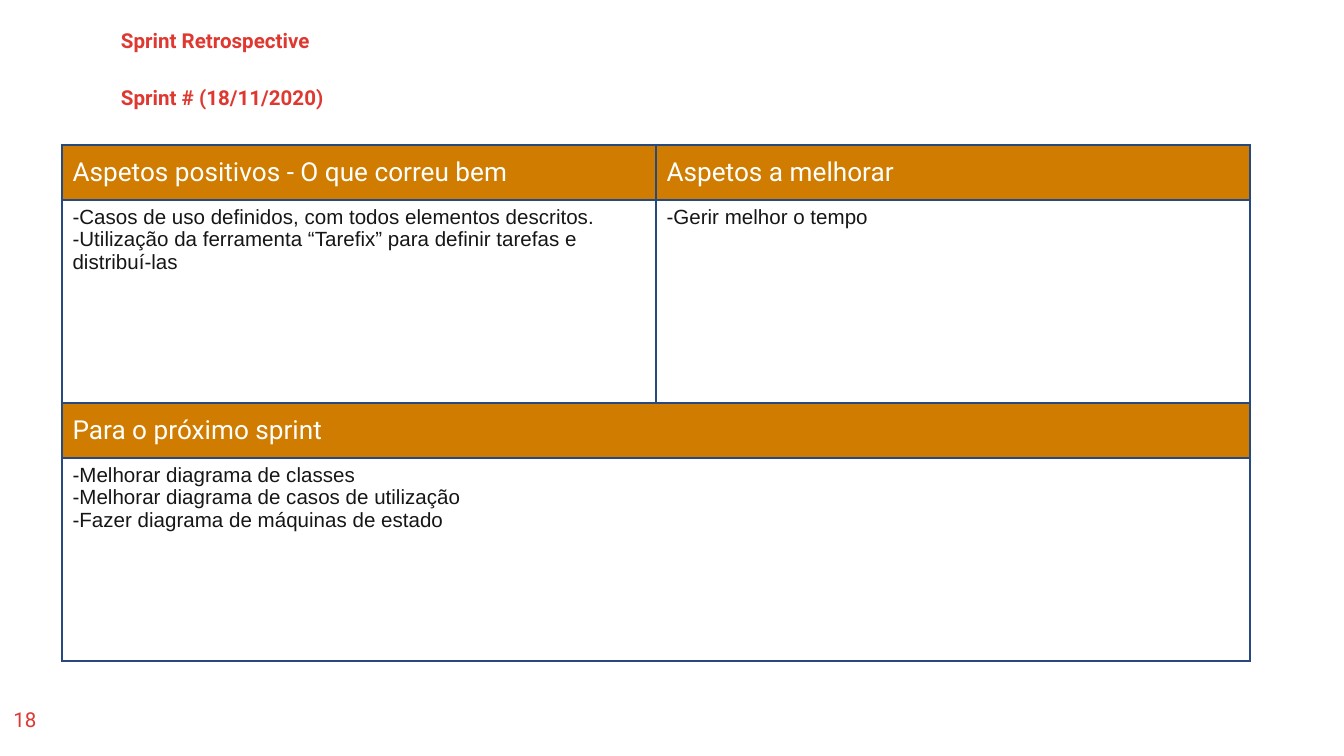
from lxml import etree
from pptx import Presentation
from pptx.dml.color import RGBColor
from pptx.enum.text import MSO_ANCHOR, PP_ALIGN
from pptx.oxml.ns import qn
from pptx.util import Inches, Pt

TOP, MIDDLE = MSO_ANCHOR.TOP, MSO_ANCHOR.MIDDLE
LEFT, CENTER = PP_ALIGN.LEFT, PP_ALIGN.CENTER
RED, ORANGE, WHITE, INK, BLUE = "DE3831", "D07C00", "FFFFFF", "171616", "264A80"


def rgb(value):
    return RGBColor.from_string(value)


def write(tf, text, size=11, font="Roboto", color=RED, bold=False, align=LEFT, spacing=1.0):
    for i, line in enumerate(text.split("\n")):
        p = tf.add_paragraph() if i else tf.paragraphs[0]
        p.alignment = align
        p.line_spacing = spacing
        r = p.add_run()
        r.text = line
        r.font.size = Pt(size)
        r.font.name = font
        r.font.bold = bold
        r.font.color.rgb = rgb(color)


def set_margins(item, side, end):
    item.margin_left = item.margin_right = Inches(side)
    item.margin_top = item.margin_bottom = Inches(end)


class Deck:
    header = dict(size=14, color=WHITE)
    body = dict(font="Arial", color=INK)

    def __init__(self, width):
        self.prs = Presentation()
        self.prs.slide_width = Inches(width)
        self.prs.slide_height = Inches(width * 9 / 16)
        self.s = self.prs.slides.add_slide(self.prs.slide_layouts[6])

    def text(self, x, y, w, h, text, **style):
        sp = self.s.shapes.add_textbox(Inches(x), Inches(y), Inches(w), Inches(h))
        tf = sp.text_frame
        tf.word_wrap = True
        set_margins(tf, 0.07, 0.04)
        write(tf, text, **style)

    def border(self, cell):
        tc_pr = cell._tc.get_or_add_tcPr()
        for i, side in enumerate(("lnL", "lnR", "lnT", "lnB")):
            ln = etree.Element(qn(f"a:{side}"), w=str(Pt(1)))
            fill = etree.SubElement(ln, qn("a:solidFill"))
            etree.SubElement(fill, qn("a:srgbClr"), val=BLUE)
            tc_pr.insert(i, ln)

    def table(self, x, y, widths, heights, rows):
        frame = self.s.shapes.add_table(
            len(heights), len(widths), Inches(x), Inches(y),
            Inches(sum(widths)), Inches(sum(heights)))
        table = frame.table
        for column, width in zip(table.columns, widths):
            column.width = Inches(width)
        for i, (height, texts) in enumerate(zip(heights, rows)):
            table.rows[i].height = Inches(height)
            is_header = i % 2 == 0
            if len(texts) < len(widths):
                table.cell(i, 0).merge(table.cell(i, len(widths) - 1))
            for j in range(len(widths)):
                cell = table.cell(i, j)
                cell.fill.solid()
                cell.fill.fore_color.rgb = rgb(ORANGE if is_header else WHITE)
                cell.vertical_anchor = MIDDLE if is_header else TOP
                set_margins(cell, 0.08, 0.04)
                self.border(cell)
                if j < len(texts):
                    write(cell.text_frame, texts[j], **(self.header if is_header else self.body))


def main():
    deck = Deck(10)
    deck.text(0.83, 0.19, 7.81, 0.34, "Sprint Retrospective", bold=True, spacing=0.9)
    deck.text(0.83, 0.61, 7.81, 0.32, "Sprint # (18/11/2020)", bold=True, spacing=0.9)
    deck.text(0.01, 5.22, 0.35, 0.3, "18", align=CENTER)
    deck.table(0.46, 1.08, [4.42] * 2, [0.41, 1.51] * 2, [
        ["Aspetos positivos - O que correu bem", "Aspetos a melhorar"],
        ["-Casos de uso definidos, com todos elementos descritos.\n"
         "-Utilização da ferramenta “Tarefix” para definir tarefas e distribuí-las",
         "-Gerir melhor o tempo"],
        ["Para o próximo sprint"],
        ["-Melhorar diagrama de classes\n"
         "-Melhorar diagrama de casos de utilização\n"
         "-Fazer diagrama de máquinas de estado"],
    ])
    deck.prs.save("out.pptx")


if __name__ == "__main__":
    main()
